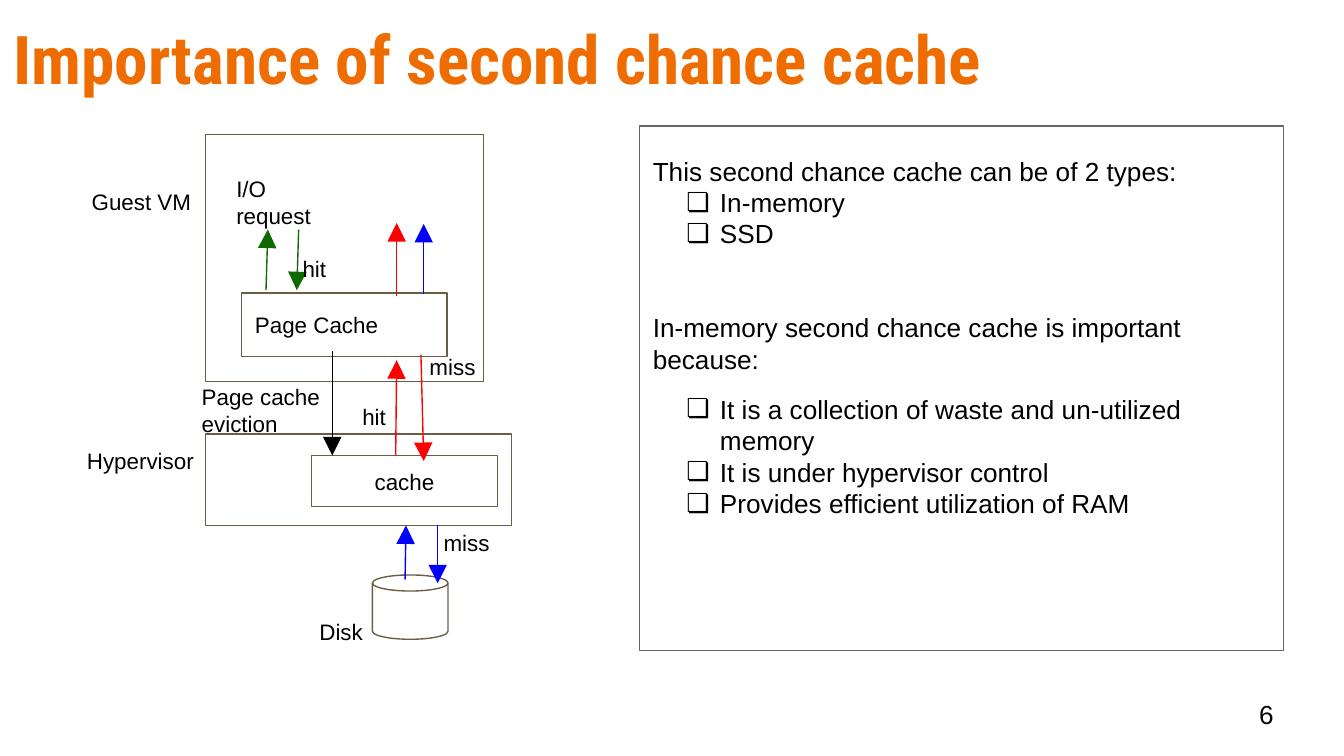
from dataclasses import dataclass

from lxml.etree import SubElement
from pptx import Presentation
from pptx.dml.color import RGBColor as Rgb
from pptx.enum.shapes import MSO_CONNECTOR as Connector, MSO_SHAPE as Shape
from pptx.enum.text import MSO_ANCHOR as Anchor, MSO_AUTO_SIZE as AutoSize, PP_ALIGN as Align
from pptx.oxml.ns import qn
from pptx.util import Pt


@dataclass(frozen=True)
class Theme:
    title: Rgb = Rgb(0xEF, 0x6C, 0x00)
    ink: Rgb = Rgb(0, 0, 0)
    paper: Rgb = Rgb(255, 255, 255)
    outline: Rgb = Rgb(0x69, 0x5D, 0x46)
    panel_outline: Rgb = Rgb(0x66, 0x66, 0x66)
    page_cache_hit: Rgb = Rgb(0x0E, 0x69, 0x00)
    second_cache: Rgb = Rgb(255, 0, 0)
    disk: Rgb = Rgb(0, 0, 255)
    heading_font: str = "Roboto Condensed"
    body_font: str = "Arial"
    heading_size: int = 36
    body_size: int = 14
    label_size: int = 12
    line_width: float = 0.75
    inset: float = 7.2


THEME = Theme()


def place(shape, left, top, width, height):
    shape.left, shape.top = Pt(left), Pt(top)
    shape.width, shape.height = Pt(width), Pt(height)


def prepare_frame(shape, anchor=Anchor.TOP):
    frame = shape.text_frame
    frame.word_wrap = True
    frame.auto_size = AutoSize.NONE
    frame.vertical_anchor = anchor
    frame.margin_left = frame.margin_right = Pt(THEME.inset)
    frame.margin_top = frame.margin_bottom = Pt(THEME.inset)
    return frame


def write(para, text, size, align=Align.LEFT, name=THEME.body_font, color=THEME.ink, bold=False):
    span = para.add_run()
    span.text = text
    para.alignment = align
    for font in (para.font, span.font):
        font.name, font.size, font.bold = name, Pt(size), bold
        font.color.rgb = color


def set_outline(shape, color):
    shape.line.color.rgb = color
    shape.line.width = Pt(THEME.line_width)


def add_title(page, text):
    title = page.shapes.title
    place(title, 0, 2, 671, 55.5)
    para = prepare_frame(title).paragraphs[0]
    write(para, text, THEME.heading_size, name=THEME.heading_font, color=THEME.title, bold=True)


def add_block(page, kind, area, text="", align=Align.LEFT):
    block = page.shapes.add_shape(kind, *map(Pt, area))
    block.shadow.inherit = False
    block.fill.solid()
    block.fill.fore_color.rgb = THEME.paper
    set_outline(block, THEME.outline)
    if text:
        frame = prepare_frame(block, Anchor.MIDDLE)
        write(frame.paragraphs[0], text, THEME.label_size, align)


def add_label(page, text, area, size=THEME.label_size, anchor=Anchor.TOP):
    box = page.shapes.add_textbox(*map(Pt, area))
    write(prepare_frame(box, anchor).paragraphs[0], text, size)


def add_arrow(page, color, start, end):
    arrow = page.shapes.add_connector(Connector.STRAIGHT, *map(Pt, start + end))
    set_outline(arrow, color)
    SubElement(arrow.line._get_or_add_ln(), qn("a:tailEnd"), type="triangle", w="lg", len="lg")
    SubElement(arrow._element.spPr, qn("a:effectLst"))


def set_bullet(para, bullet):
    props = para._p.get_or_add_pPr()
    props.set("marL", str(Pt(36) if bullet else 0))
    props.set("indent", str(Pt(-18) if bullet else 0))
    if bullet:
        SubElement(props, qn("a:buFont"), typeface=THEME.body_font)
        SubElement(props, qn("a:buChar"), char="❏")
    else:
        SubElement(props, qn("a:buNone"))


def add_panel(page, sections):
    panel = page.placeholders[1]
    place(panel, 342.5, 67.5, 345, 281)
    set_outline(panel, THEME.panel_outline)
    frame = prepare_frame(panel)
    para = frame.paragraphs[0]
    for lead, items, spacing, before, after in sections:
        for index, text in enumerate([lead, *items]):
            if para is None:
                para = frame.add_paragraph()
            is_lead = index == 0
            set_bullet(para, not is_lead)
            para.line_spacing = spacing if is_lead else 1.0
            para.space_before = Pt(before if is_lead else 0)
            para.space_after = Pt(after if is_lead else 0)
            write(para, text, THEME.body_size)
            para = None


def add_diagram(page):
    add_block(page, Shape.CAN, (199.5, 308, 40.5, 34.5))
    add_block(page, Shape.RECTANGLE, (110, 232.5, 164, 49))
    add_block(page, Shape.RECTANGLE, (110, 72, 149, 132.5))
    add_block(page, Shape.RECTANGLE, (129.5, 157, 110, 34), "Page Cache")
    add_block(page, Shape.RECTANGLE, (167, 244, 99.5, 27.5), "cache", Align.CENTER)

    arrows = [
        (THEME.page_cache_hit, (160, 123), (159, 155.5)),
        (THEME.page_cache_hit, (142.5, 155.5), (143.5, 123)),
        (THEME.disk, (234.5, 281.5), (234.5, 312.5)),
        (THEME.disk, (217, 310.5), (217.5, 281.5)),
        (THEME.second_cache, (212.5, 158.5), (212.5, 119.5)),
        (THEME.disk, (227, 157.5), (227, 120)),
        (THEME.second_cache, (212, 244), (212.5, 193)),
        (THEME.second_cache, (225.5, 190), (227, 247)),
        (THEME.ink, (178, 188), (178, 244)),
    ]
    for color, start, end in arrows:
        add_arrow(page, color, start, end)

    labels = [
        ("Guest VM", (42, 93.5, 68.5, 27.5)),
        ("Hypervisor", (39.5, 232.5, 73, 34)),
        ("Disk", (164, 324, 40.5, 20)),
        ("I/O request", (119.5, 86.5, 72.5, 23)),
        ("hit", (155, 129.5, 32.5, 20)),
        ("miss", (223, 182, 40.5, 23)),
        ("hit", (187, 209, 32.5, 20)),
        ("miss", (230.5, 276, 40.5, 23)),
        ("Page cache eviction", (101, 198, 80, 27.5)),
    ]
    for text, area in labels:
        add_label(page, text, area)


def main():
    deck = Presentation()
    deck.slide_width, deck.slide_height = Pt(720), Pt(405)
    page = deck.slides.add_slide(deck.slide_layouts[1])
    add_title(page, "Importance of second chance cache")
    add_diagram(page)
    add_panel(page, [
        ("This second chance cache can be of 2 types:", ["In-memory", "SSD"], 1.5, 0, 0),
        ("In-memory second chance cache is important because:", [
            "It is a collection of waste and un-utilized memory",
            "It is under hypervisor control",
            "Provides efficient utilization of RAM",
        ], 1.0, 33.5, 10),
    ])
    add_label(page, "6", (667.5, 367, 43, 31), THEME.body_size, Anchor.MIDDLE)
    deck.save("out.pptx")


if __name__ == "__main__":
    main()
